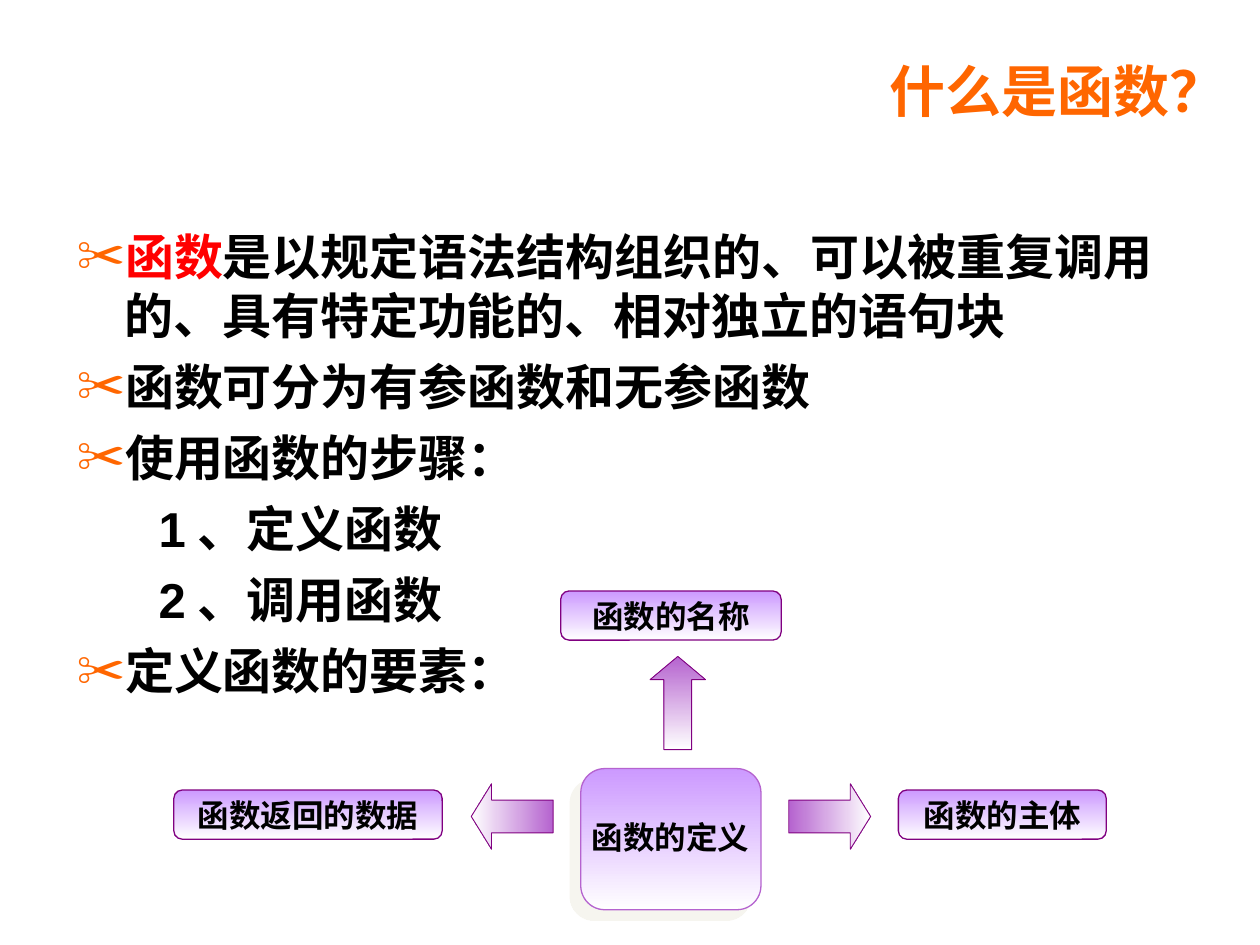
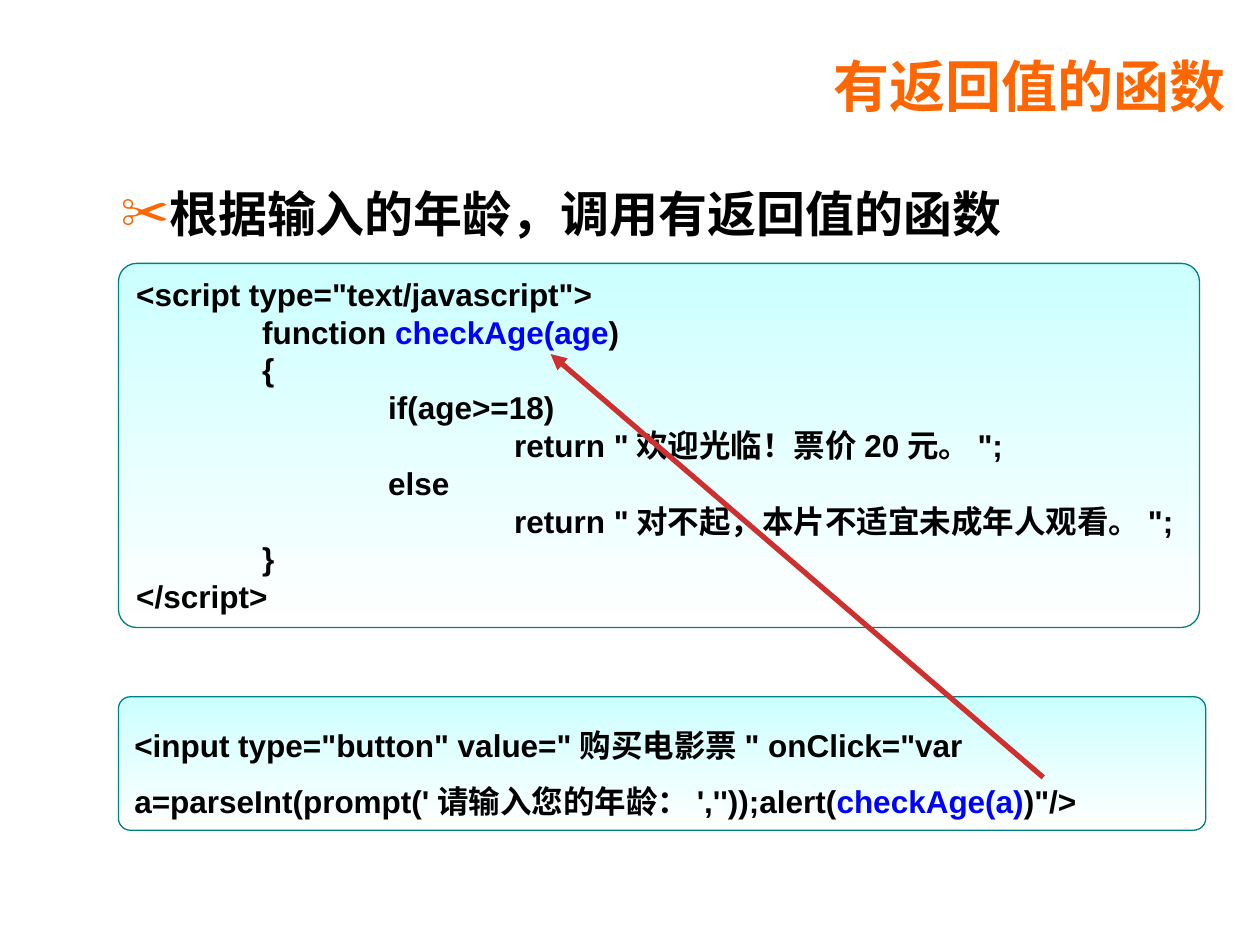
from lxml import etree
from pptx import Presentation
from pptx.dml.color import RGBColor
from pptx.enum.shapes import MSO_CONNECTOR, MSO_SHAPE
from pptx.enum.text import MSO_ANCHOR, MSO_AUTO_SIZE, PP_ALIGN
from pptx.oxml.ns import qn
from pptx.util import Inches, Pt

ROUNDED = MSO_SHAPE.ROUNDED_RECTANGLE
UP, LEFT_ARROW, RIGHT_ARROW = MSO_SHAPE.UP_ARROW, MSO_SHAPE.LEFT_ARROW, MSO_SHAPE.RIGHT_ARROW
STRAIGHT = MSO_CONNECTOR.STRAIGHT
TOP, MIDDLE = MSO_ANCHOR.TOP, MSO_ANCHOR.MIDDLE
LEFT, CENTER, RIGHT = PP_ALIGN.LEFT, PP_ALIGN.CENTER, PP_ALIGN.RIGHT
NO_AUTOFIT = MSO_AUTO_SIZE.NONE
TITLE_ONLY = 5
BODY_FONT, TITLE_FONT = "Arial", "Noto Sans CJK SC"
BULLET = "✂"
HANG = 0.38

COLORS = {
    "accent": "FF6600",
    "text": "000000",
    "term": "FF0000",
    "call": "0000FF",
    "white": "FFFFFF",
    "arrow": "B563CF",
    "box": "CC99FF",
    "box_line": "800080",
    "shadow": "EEECE1",
    "code": "CCFFFF",
    "code_line": "008080",
    "link": "CE3030",
}


def rgb(name):
    return RGBColor.from_string(COLORS[name])


def add_child(parent, tag, **attributes):
    return etree.SubElement(parent, qn(tag), attributes)


def write_paragraph(paragraph, text, size=18, color="text", font=BODY_FONT,
                    align=LEFT, line_spacing=None, space_before=None):
    paragraph.alignment = align
    if line_spacing:
        paragraph.line_spacing = line_spacing
    if space_before:
        paragraph.space_before = Pt(space_before)
    parts = [(text, color)] if isinstance(text, str) else text
    for words, part_color in parts:
        run = paragraph.add_run()
        run.text = words
        run.font.name = font
        run.font.size = Pt(size)
        run.font.bold = True
        run.font.color.rgb = rgb(part_color)


def add_titled_slide(presentation, text, anchor):
    slide = presentation.slides.add_slide(presentation.slide_layouts[TITLE_ONLY])
    title = slide.shapes.title
    title.left, title.top = Inches(0.83), Inches(0.36)
    title.width, title.height = Inches(9), Inches(0.71)
    frame = title.text_frame
    frame.auto_size = NO_AUTOFIT
    frame.vertical_anchor = anchor
    write_paragraph(frame.paragraphs[0], text, size=32, color="accent",
                    font=TITLE_FONT, align=RIGHT)
    return slide


def set_indent(paragraph, left, bulleted):
    properties = paragraph._p.get_or_add_pPr()
    properties.set("marL", str(Inches(left)))
    properties.set("indent", str(-Inches(left) if bulleted else 0))
    if bulleted:
        bullet_color = add_child(properties, "a:buClr")
        add_child(bullet_color, "a:srgbClr", val=COLORS["accent"])
        add_child(properties, "a:buFont", typeface=BODY_FONT)
        add_child(properties, "a:buChar", char=BULLET)


def set_code_tabs(paragraph):
    tabs = add_child(paragraph._p.get_or_add_pPr(), "a:tabLst")
    for stop in range(1, 4):
        add_child(tabs, "a:tab", pos=str(Inches(stop)), algn="l")


def add_bullet_list(slide, box, items, line_spacing=None):
    frame = slide.shapes.add_textbox(*map(Inches, box)).text_frame
    frame.word_wrap = True
    for index, (text, bulleted) in enumerate(items):
        paragraph = frame.add_paragraph() if index else frame.paragraphs[0]
        set_indent(paragraph, HANG if bulleted else 0.65, bulleted)
        write_paragraph(paragraph, text, size=28, line_spacing=line_spacing,
                        space_before=7 if index else None)


def add_gradient_shape(slide, kind, box, fill, line, angle=270, line_width=0.75,
                       adjustments=(0.17,)):
    shape = slide.shapes.add_shape(kind, *map(Inches, box))
    shape.shadow.inherit = False
    for index, value in enumerate(adjustments):
        shape.adjustments[index] = value
    shape.fill.gradient()
    shape.fill.gradient_angle = angle
    for stop, color, position in zip(shape.fill.gradient_stops, (fill, "white"), (0, 1)):
        stop.color.rgb = rgb(color)
        stop.position = position
    shape.line.color.rgb = rgb(line)
    shape.line.width = Pt(line_width)
    return shape


def write_label(shape, text):
    frame = shape.text_frame
    frame.word_wrap = False
    frame.vertical_anchor = MIDDLE
    write_paragraph(frame.paragraphs[0], text, align=CENTER)


def add_plain_label(slide, text, box):
    shape = slide.shapes.add_shape(ROUNDED, *map(Inches, box))
    shape.shadow.inherit = False
    shape.fill.background()
    shape.line.fill.background()
    write_label(shape, text)


def add_offset_shadow(shape):
    effects = shape._element.spPr.find(qn("a:effectLst"))
    shadow = add_child(effects, "a:outerShdw", dist=str(Pt(8.5)),
                       dir=str(135 * 60000), algn="ctr", rotWithShape="0")
    color = add_child(shadow, "a:srgbClr", val=COLORS["shadow"])
    add_child(color, "a:alpha", val="50000")


def add_code_box(slide, lines, box, corner, anchor=TOP, line_spacing=None):
    shape = add_gradient_shape(slide, ROUNDED, box, "code", "code_line",
                               adjustments=(corner,))
    frame = shape.text_frame
    frame.word_wrap = True
    frame.vertical_anchor = anchor
    for index, line in enumerate(lines):
        paragraph = frame.add_paragraph() if index else frame.paragraphs[0]
        set_code_tabs(paragraph)
        write_paragraph(paragraph, line, line_spacing=line_spacing)


def add_arrow_line(slide, start, end):
    connector = slide.shapes.add_connector(STRAIGHT, *map(Inches, start + end))
    connector.line.color.rgb = rgb("link")
    connector.line.width = Pt(3)
    add_child(connector.line._get_or_add_ln(), "a:tailEnd", type="triangle")
    add_child(connector._element.spPr, "a:effectLst")


def build_definition_slide(presentation):
    slide = add_titled_slide(presentation, "什么是函数？", MIDDLE)
    definition = [
        ("函数", "term"),
        ("是以规定语法结构组织的、可以被重复调用的、具有特定功能的、相对独立的语句块", "text"),
    ]
    add_bullet_list(slide, (0.51, 1.75, 8.98, 5.23), [
        (definition, True),
        ("函数可分为有参函数和无参函数", True),
        ("使用函数的步骤：", True),
        ("1、定义函数", False),
        ("2、调用函数", False),
        ("定义函数的要素：", True),
    ])
    arrows = [
        (UP, (5.16, 5.21, 0.44, 0.74), 270, 0.42),
        (LEFT_ARROW, (3.74, 6.22, 0.65, 0.52), 180, 0.31),
        (RIGHT_ARROW, (6.26, 6.22, 0.65, 0.52), 0, 0.31),
    ]
    for kind, box, angle, head in arrows:
        add_gradient_shape(slide, kind, box, "arrow", "box_line", angle=angle,
                           line_width=0.5, adjustments=(0.5, head))
    center = add_gradient_shape(slide, ROUNDED, (4.61, 6.1, 1.43, 1.12), "box", "arrow")
    add_offset_shadow(center)
    add_plain_label(slide, "函数的定义", (4.66, 6.49, 1.32, 0.31))
    elements = [
        ("函数的名称", 4.45, 4.69, 1.75),
        ("函数的主体", 7.13, 6.27, 1.65),
        ("函数返回的数据", 1.38, 6.27, 2.13),
    ]
    for text, left, top, width in elements:
        element = add_gradient_shape(slide, ROUNDED, (left, top, width, 0.39),
                                     "box", "box_line")
        write_label(element, text)


def build_return_value_slide(presentation):
    slide = add_titled_slide(presentation, "有返回值的函数", TOP)
    add_bullet_list(slide, (0.86, 1.17, 8.52, 2.03),
                    [("根据输入的年龄，调用有返回值的函数", True)], line_spacing=1.5)
    add_code_box(slide, [
        '<script type="text/javascript">',
        [("\tfunction ", "text"), ("checkAge(age", "call"), (")", "text")],
        "\t{",
        "\t\tif(age>=18)",
        '\t\t\treturn "欢迎光临！票价20元。";',
        "\t\telse",
        '\t\t\treturn "对不起，本片不适宜未成年人观看。";',
        "\t}",
        "</script>",
    ], (0.94, 2.09, 8.58, 2.89), 0.05)
    button = [
        ('<input type="button" value="购买电影票" onClick="var '
         "a=parseInt(prompt('请输入您的年龄：',''));alert(", "text"),
        ("checkAge(a)", "call"),
        (')"/>', "text"),
    ]
    add_code_box(slide, [button], (0.94, 5.53, 8.63, 1.06), 0.09,
                 anchor=MIDDLE, line_spacing=1.5)
    add_arrow_line(slide, (8.28, 6.17), (4.37, 2.81))


def main():
    presentation = Presentation()
    presentation.slide_width, presentation.slide_height = Inches(10), Inches(7.5)
    build_definition_slide(presentation)
    build_return_value_slide(presentation)
    presentation.save("out.pptx")


if __name__ == "__main__":
    main()
